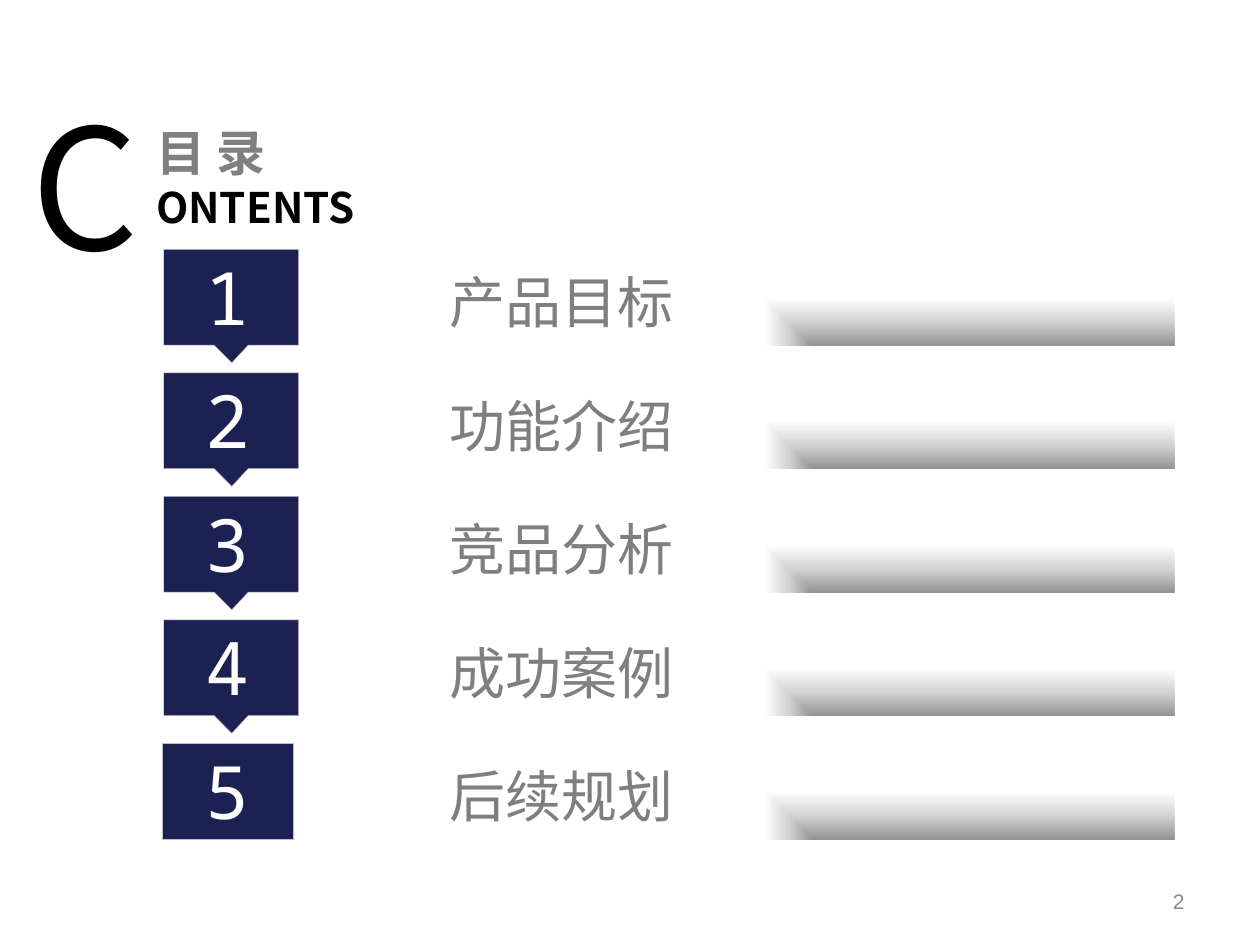
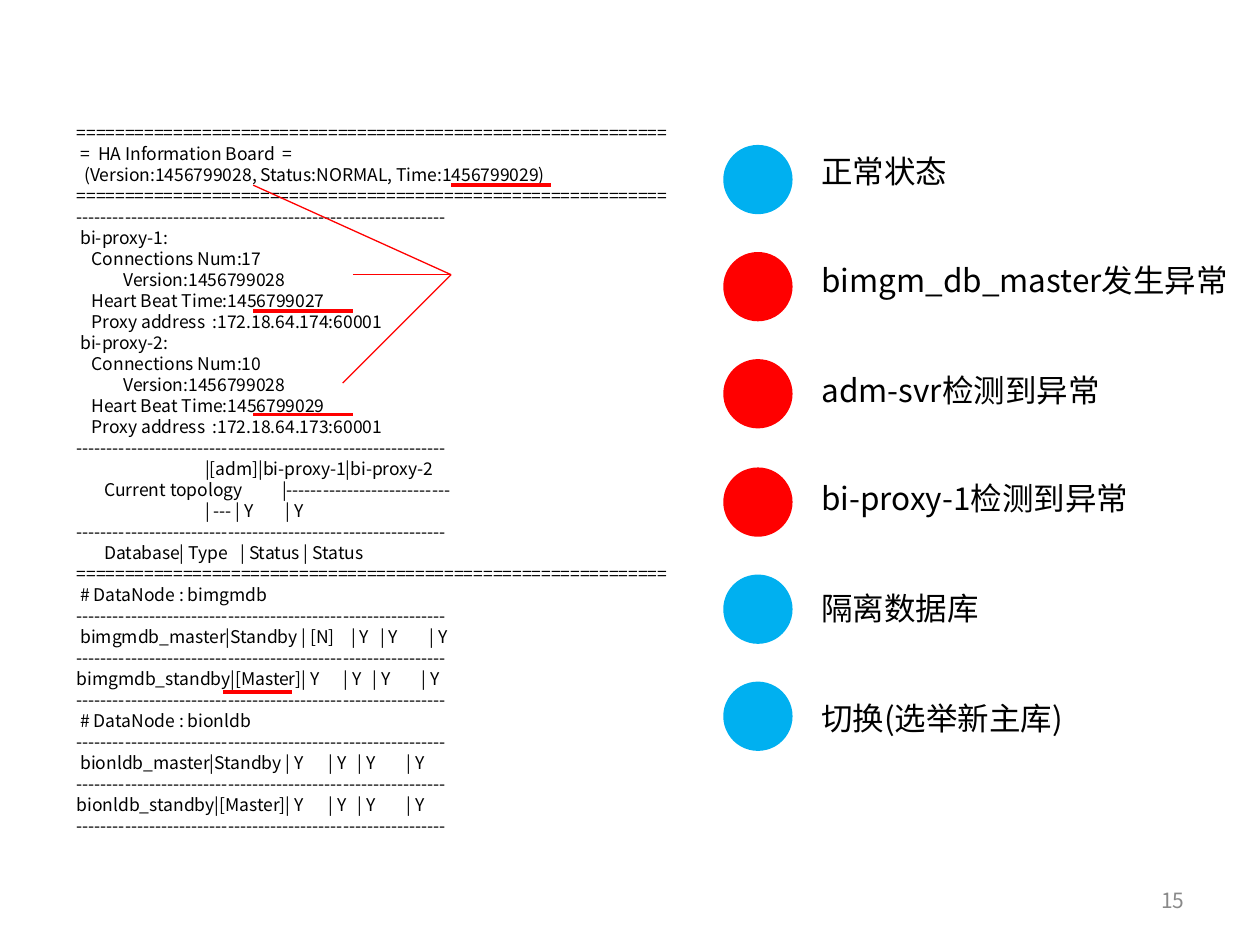
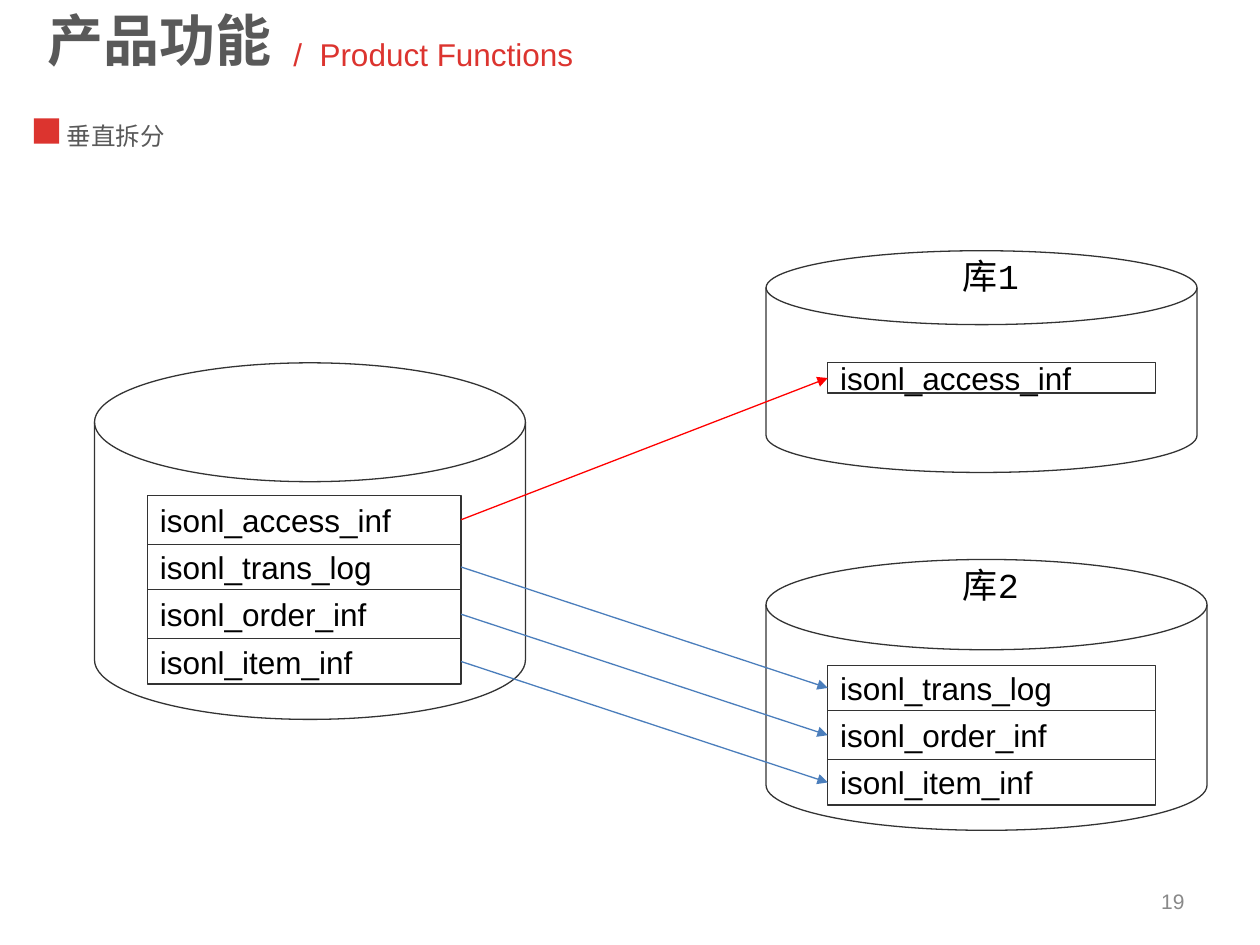
from pptx import Presentation
from pptx.dml.color import RGBColor
from pptx.enum.shapes import MSO_CONNECTOR, MSO_SHAPE
from pptx.enum.text import MSO_ANCHOR, PP_ALIGN
from pptx.oxml import parse_xml
from pptx.oxml.ns import nsdecls, qn
from pptx.util import Pt

PX = 9144
RECT, OVAL, DISK = MSO_SHAPE.RECTANGLE, MSO_SHAPE.OVAL, MSO_SHAPE.FLOWCHART_MAGNETIC_DISK
STRAIGHT = MSO_CONNECTOR.STRAIGHT
TOP, MIDDLE = MSO_ANCHOR.TOP, MSO_ANCHOR.MIDDLE
LEFT, CENTER, RIGHT = PP_ALIGN.LEFT, PP_ALIGN.CENTER, PP_ALIGN.RIGHT
SIDE_LEFT, SIDE_RIGHT = 1, 3

BLACK = RGBColor(0x00, 0x00, 0x00)
WHITE = RGBColor(0xFF, 0xFF, 0xFF)
NAVY = RGBColor(0x1B, 0x21, 0x53)
GRAY = RGBColor(0x7F, 0x7F, 0x7F)
DARK_GRAY = RGBColor(0x59, 0x59, 0x59)
NUMBER_GRAY = RGBColor(0x89, 0x89, 0x89)
EDGE_GRAY = RGBColor(0xBF, 0xBF, 0xBF)
OUTLINE = RGBColor(0x33, 0x33, 0x33)
RED = RGBColor(0xFF, 0x00, 0x00)
BRAND_RED = RGBColor(0xDC, 0x34, 0x2F)
SKY = RGBColor(0x00, 0xB0, 0xF0)
BLUE = RGBColor(0x4B, 0x7E, 0xBC)

SANS, KOREAN, MONO = "Noto Sans CJK SC", "Noto Sans CJK KR", "Noto Sans Mono"
ARIAL, COURIER = "Arial", "Courier New"
NARROW, WIDE = (10, 5), (13, 7)

SHADE = (
    f'<a:gradFill {nsdecls("a")} rotWithShape="1"><a:gsLst>'
    '<a:gs pos="0"><a:srgbClr val="949494"/></a:gs>'
    '<a:gs pos="50000"><a:srgbClr val="D4D4D4"/></a:gs>'
    '<a:gs pos="100000"><a:srgbClr val="FFFFFF"/></a:gs></a:gsLst>'
    '<a:path path="rect"><a:fillToRect l="100000" t="100000"/></a:path>'
    '<a:tileRect r="-100000" b="-100000"/></a:gradFill>'
)

TOPICS = ["产品目标", "功能介绍", "竞品分析", "成功案例", "后续规划"]

DOUBLE, DASHES = "=" * 61, "-" * 61
BOARD = [
    (DOUBLE,),
    ("\t=\tHA Information Board\t=", 3, 17, 163),
    ("\t(Version:1456799028, Status:NORMAL, Time:1456799029)", 6),
    (DOUBLE,),
    (DASHES,),
    ("\tbi-proxy-1:", 3),
    ("\tConnections Num:17", 12),
    ("\tVersion:1456799028", 37),
    ("\tHeart Beat Time:1456799027", 12),
    ("\tProxy address\t:172.18.64.174:60001", 12, 108),
    ("\tbi-proxy-2:", 3),
    ("\tConnections Num:10", 12),
    ("\tVersion:1456799028", 37),
    ("\tHeart Beat Time:1456799029", 12),
    ("\tProxy address\t:172.18.64.173:60001", 12, 108),
    (DASHES,),
    ("\t|[adm]|bi-proxy-1|bi-proxy-2", 102),
    ("\tCurrent topology\t|" + "-" * 27, 22, 163),
    ("\t| --- | Y\t| Y", 102, 166),
    (DASHES,),
    ("\tDatabase| Type\t| Status | Status", 22, 130),
    (DOUBLE,),
    ("\t# DataNode : bimgmdb", 3),
    (DASHES,),
    ("\tbimgmdb_master|Standby | [N]\t| Y\t| Y\t| Y", 3, 218, 241, 280),
    (DASHES,),
    ("bimgmdb_standby|[Master]| Y\t| Y\t| Y\t| Y", 212, 235, 274),
    (DASHES,),
    ("\t# DataNode : bionldb", 3),
    (DASHES,),
    ("\tbionldb_master|Standby | Y\t| Y\t| Y\t| Y", 3, 200, 223, 262),
    (DASHES,),
    ("bionldb_standby|[Master]| Y\t| Y\t| Y\t| Y", 200, 223, 262),
    (DASHES,),
]
STATES = [
    ("正常状态", SKY, 228),
    ("bimgm_db_master发生异常", RED, 358),
    ("adm-svr检测到异常", RED, 339),
    ("bi-proxy-1检测到异常", RED, 339),
    ("隔离数据库", SKY, 228),
    ("切换(选举新主库)", SKY, 228),
]
UNDERLINES = [(358, 437, 147), (201, 280, 329), (201, 280, 247), (177, 232, 549)]
VERSION_ENDS = [(201, 147), (280, 218), (272, 304)]

MOVED = "isonl_access_inf"
KEPT = ["isonl_trans_log", "isonl_order_inf", "isonl_item_inf"]
ROW_HEIGHTS = {MOVED: 39, KEPT[0]: 36, KEPT[1]: 39, KEPT[2]: 36}


class Deck:
    def __init__(self):
        self.prs = Presentation()
        self.prs.slide_width, self.prs.slide_height = 1000 * PX, 750 * PX
        self.s = None

    def slide(self, number, font=ARIAL):
        self.s = self.prs.slides.add_slide(self.prs.slide_layouts[6])
        self.text((717, 695, 233, 40), [(number,)], 12, NUMBER_GRAY, font,
                  align=RIGHT, anchor=MIDDLE)

    def paragraph(self, p, text, size, color, font=SANS, bold=False,
                  align=LEFT, leading=1.2, stops=()):
        p.alignment = align
        if font in (SANS, KOREAN):
            p.line_spacing = Pt(round(size * leading))
        if stops:
            tabs = "".join(f'<a:tab pos="{stop * PX}" algn="l"/>' for stop in stops)
            p._p.get_or_add_pPr().append(
                parse_xml(f'<a:tabLst {nsdecls("a")}>{tabs}</a:tabLst>'))
        r = p.add_run()
        r.text = text
        for name, value in {"name": font, "size": Pt(size), "bold": bold}.items():
            setattr(r.font, name, value)
        r.font.color.rgb = color
        east = font if font in (KOREAN, MONO) else SANS
        r.font._element.append(
            parse_xml(f'<a:ea {nsdecls("a")} typeface="{east}"/>'))

    def frame(self, sp, anchor=TOP, inset=NARROW, wrap=True):
        tf = sp.text_frame
        x, y = (value * PX for value in inset)
        fmt = {"word_wrap": wrap, "vertical_anchor": anchor, "margin_left": x,
               "margin_right": x, "margin_top": y, "margin_bottom": y}
        for name, value in fmt.items():
            setattr(tf, name, value)
        return tf

    def text(self, at, lines, size, color, font=SANS, anchor=TOP, inset=NARROW,
             wrap=True, **style):
        sp = self.s.shapes.add_textbox(*(value * PX for value in at))
        tf = self.frame(sp, anchor, inset, wrap)
        for i, (line, *stops) in enumerate(lines):
            p = tf.add_paragraph() if i else tf.paragraphs[0]
            self.paragraph(p, line, size, color, font, stops=stops, **style)

    def paint(self, sp, fill=None, line=None, width=0.75):
        sp.shadow.inherit = False
        if fill is None:
            sp.fill.background()
        else:
            sp.fill.solid()
            sp.fill.fore_color.rgb = fill
        if line is None:
            sp.line.fill.background()
        else:
            sp.line.color.rgb = line
            sp.line.width = Pt(width)
        return sp

    def shape(self, kind, at, **paint):
        sp = self.s.shapes.add_shape(kind, *(value * PX for value in at))
        return self.paint(sp, **paint)

    def callout(self, x, y):
        builder = self.s.shapes.build_freeform(x, y, scale=PX)
        builder.add_line_segments([(x + 107, y), (x + 107, y + 76), (x + 67, y + 76),
                                   (x + 54, y + 90), (x + 40, y + 76), (x, y + 76)])
        self.paint(builder.convert_to_shape(), NAVY, EDGE_GRAY, 0.25)

    def shaded_bar(self, at):
        sp = self.shape(RECT, at)
        old = sp._element.spPr.find(qn("a:noFill"))
        old.getparent().replace(old, parse_xml(SHADE))

    def line(self, start, end, color, width=0.75):
        c = self.s.shapes.add_connector(
            STRAIGHT, *(value * PX for value in (*start, *end)))
        c.line.color.rgb = color
        c.line.width = Pt(width)
        c._element.spPr.append(parse_xml(f'<a:effectLst {nsdecls("a")}/>'))
        return c

    def arrow(self, source, target, color):
        c = self.line((0, 0), (0, 0), color)
        c.begin_connect(source, SIDE_RIGHT)
        c.end_connect(target, SIDE_LEFT)
        c.line._get_or_add_ln().append(
            parse_xml(f'<a:tailEnd {nsdecls("a")} type="triangle"/>'))

    def row(self, at, name):
        sp = self.shape(RECT, at, line=OUTLINE)
        tf = self.frame(sp, MIDDLE, wrap=False)
        self.paragraph(tf.paragraphs[0], name, 18, BLACK, ARIAL)
        return sp

    def rows(self, x, y, width, names):
        made = {}
        for name in names:
            made[name] = self.row((x, y, width, ROW_HEIGHTS[name]), name)
            y += ROW_HEIGHTS[name]
        return made


def contents(deck):
    deck.slide("2")
    sp = deck.s.shapes.add_textbox(*(value * PX for value in (111, 68, 271, 145)))
    tf = deck.frame(sp, MIDDLE, WIDE)
    deck.paragraph(tf.paragraphs[0], "目 录", 28, GRAY, bold=True)
    deck.paragraph(tf.add_paragraph(), "ONTENTS", 24, BLACK, bold=True)
    deck.text((12, 93, 98, 105), [("C",)], 96, BLACK, anchor=MIDDLE, inset=WIDE)
    for i, topic in enumerate(TOPICS):
        y = 198 + 98 * i
        deck.shaded_bar((281, y, 651, 76))
        deck.text((344, y + 8, 206, 67), [(topic,)], 32, GRAY, inset=WIDE, wrap=False)
        if i < len(TOPICS) - 1:
            deck.callout(130, y)
        else:
            deck.shape(RECT, (129, y, 104, 76), fill=NAVY, line=EDGE_GRAY, width=0.25)
        deck.text((153, y - 3, 54, 82), [(str(i + 1),)], 42, WHITE, MONO, wrap=False)


def information_board(deck):
    deck.slide("15", SANS)
    deck.text((51, 92, 715, 582), BOARD, 10, BLACK, KOREAN)
    for i, (state, color, width) in enumerate(STATES):
        deck.shape(OVAL, (574, 115 + round(85.2 * i), 55, 55), fill=color)
        deck.text((642, 115 + round(86.8 * i), width, 40), [(state,)], 18, BLACK)
    for x1, x2, y in UNDERLINES:
        deck.line((x1, y), (x2, y), RED, 2.25)
    for end in VERSION_ENDS:
        deck.line(end, (358, 218), RED)


def vertical_split(deck):
    deck.slide("19")
    deck.text((28, 0, 225, 64), [("产品功能",)], 32, DARK_GRAY, bold=True)
    deck.text((223, 23, 280, 40), [("/  Product Functions",)], 18, BRAND_RED, ARIAL)
    deck.text((43, 80, 641, 41), [("垂直拆分",)], 14, DARK_GRAY, leading=1.8)
    deck.shape(RECT, (27, 94, 20, 20), fill=BRAND_RED)
    for at in [(608, 199, 342, 176), (608, 444, 350, 215), (75, 288, 342, 283)]:
        deck.shape(DISK, at, line=OUTLINE)
    for name, y in [("库1", 197), ("库2", 442)]:
        deck.text((723, y, 127, 43), [(name,)], 20, BLACK, COURIER, align=CENTER)
    sources = deck.rows(117, 393, 249, ROW_HEIGHTS)
    targets = deck.rows(657, 528, 260, KEPT)
    targets[MOVED] = deck.row((657, 288, 260, 24), MOVED)
    for name, source in sources.items():
        deck.arrow(source, targets[name], RED if name == MOVED else BLUE)


def main():
    deck = Deck()
    contents(deck)
    information_board(deck)
    vertical_split(deck)
    deck.prs.save("out.pptx")


if __name__ == "__main__":
    main()
